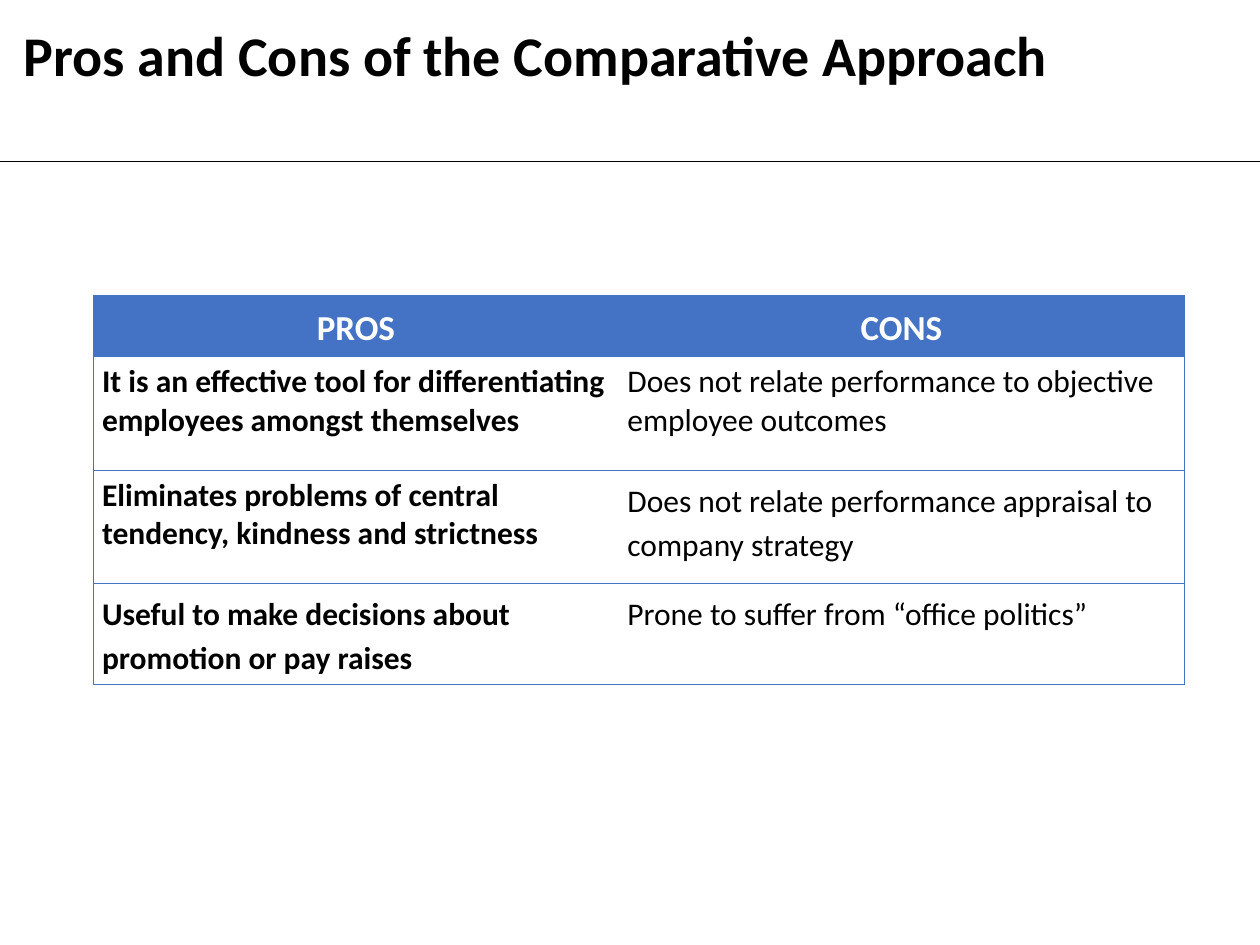
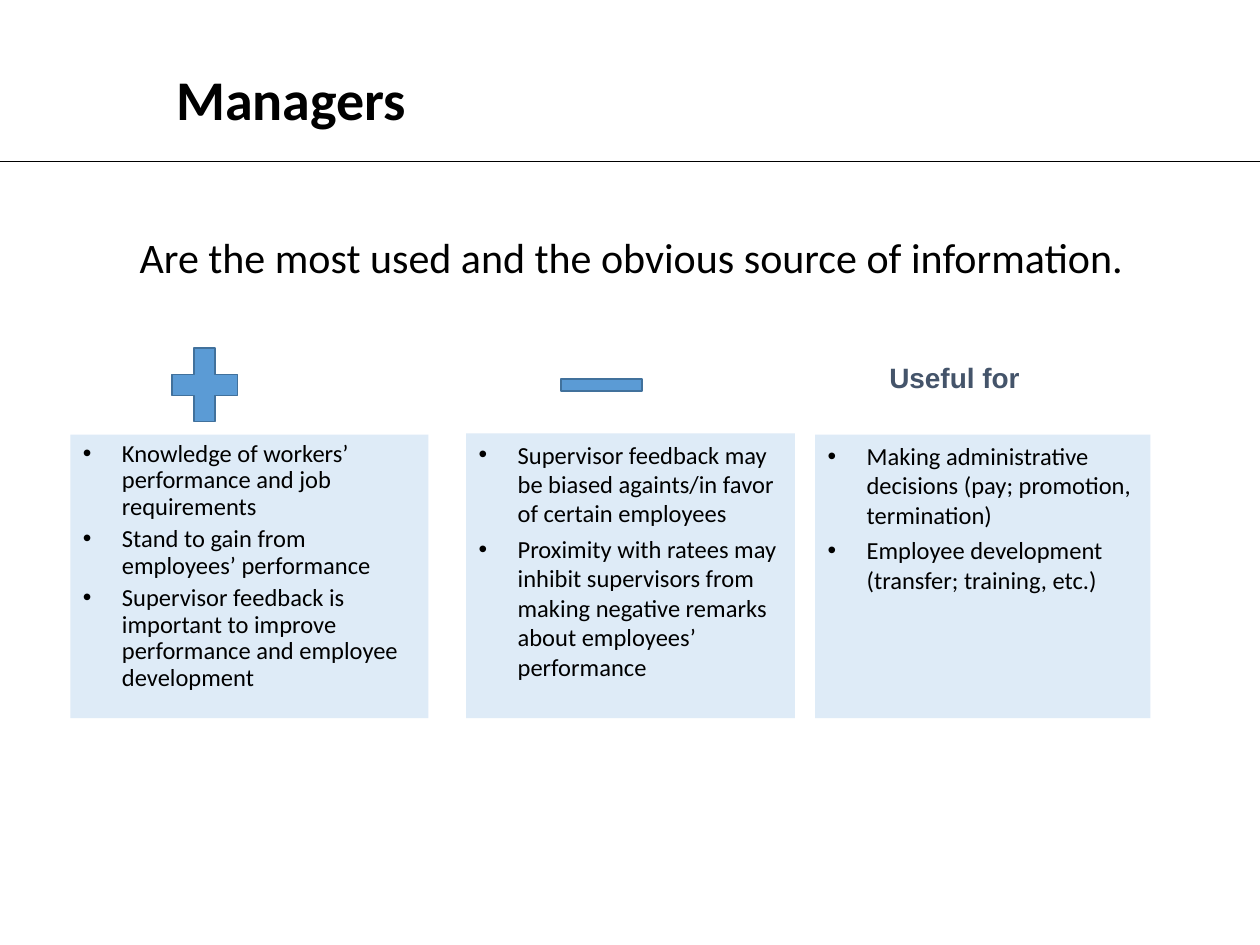
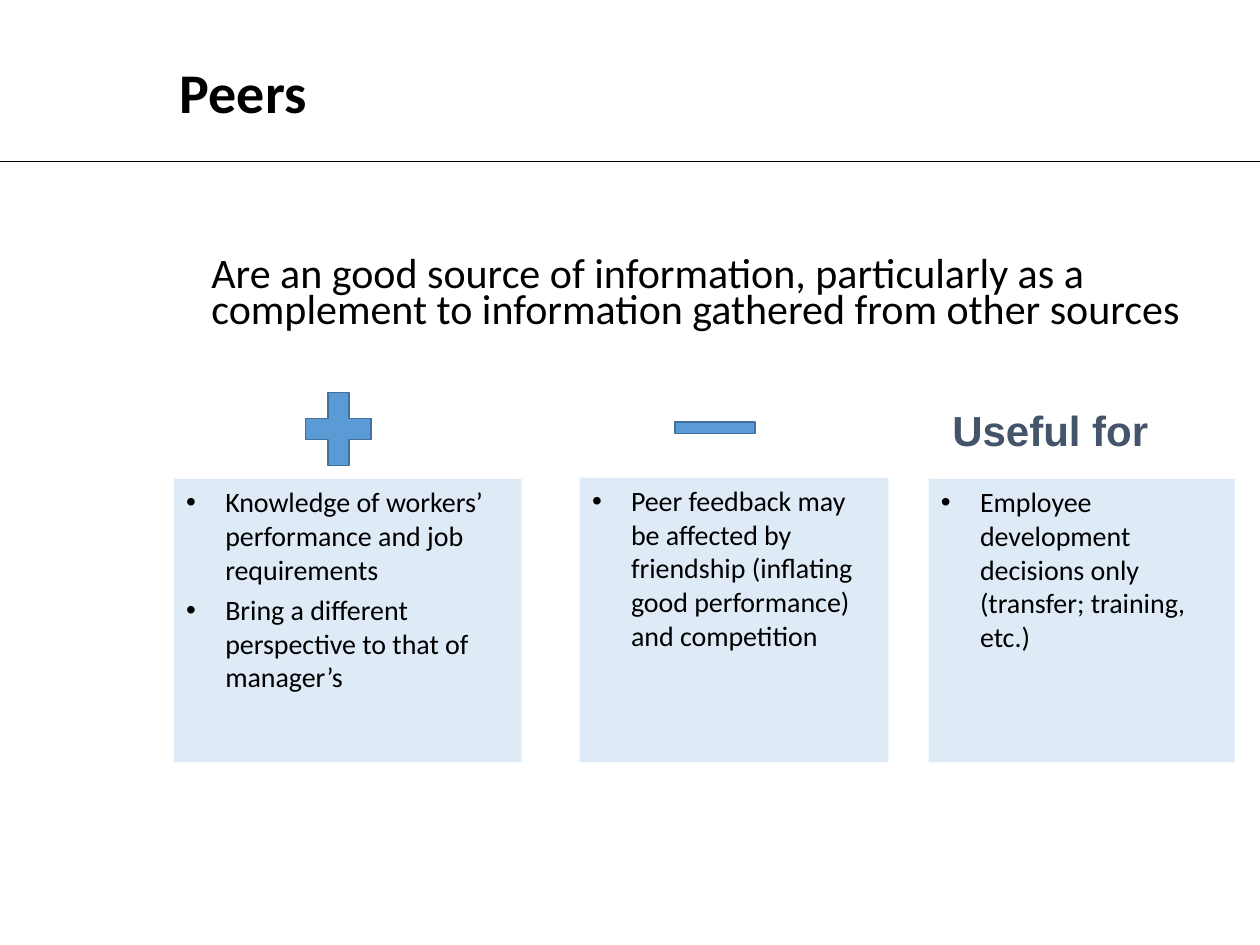
from dataclasses import dataclass

import pptx
import pptx.dml.color
import pptx.enum.shapes
import pptx.enum.text
import pptx.oxml.ns
import pptx.util
from lxml import etree
from pptx.util import Inches

COLORS = {
    "text": "000000",
    "header": "4472C4",
    "header_text": "FFFFFF",
    "sign": "5B9BD5",
    "sign_edge": "41719C",
    "panel": "DEEBF7",
    "label": "44546A",
}
BODY_FONT = "Calibri"
LABEL_FONT = "Arial"
SIGN_SHAPES = pptx.enum.shapes.MSO_SHAPE


@dataclass
class TextStyle:
    size: float
    bold: bool = False
    color: str = "text"
    font: str = BODY_FONT
    line_spacing: float = 1.0


@dataclass
class Frame:
    left: float
    top: float
    width: float
    height: float

    def lengths(self) -> list:
        return [Inches(v) for v in (self.left, self.top, self.width, self.height)]


@dataclass
class Panel:
    frame: Frame
    points: list[str]
    line_spacing: float = 1.0


@dataclass
class Rater:
    name: str
    title_frame: Frame
    intro: str
    intro_frame: Frame
    intro_spacing: float
    plus_frame: Frame
    minus_frame: Frame
    panels: list[Panel]
    point_size: int
    point_gap: float
    label_frame: Frame
    label_size: int


@dataclass
class Argument:
    text: str
    line_spacing: float = 1.0


TITLE = TextStyle(32, bold=True, line_spacing=0.9)

COMPARISON = [
    (Argument("PROS", 1.15), Argument("CONS", 1.15)),
    (Argument("It is an effective tool for differentiating employees amongst themselves"),
     Argument("Does not relate performance to objective employee outcomes")),
    (Argument("Eliminates problems of central tendency, kindness and strictness"),
     Argument("Does not relate performance appraisal to company strategy", 1.15)),
    (Argument("Useful to make decisions about promotion or pay raises", 1.15),
     Argument("Prone to suffer from “office politics”", 1.15)),
]
COLUMN_WIDTHS = [4.17, 4.49]
ROW_HEIGHTS = [0.49, 0.9, 0.9, 0.8]

RATERS = [
    Rater(
        name="Managers",
        title_frame=Frame(1.3, 0.52, 8.7, 0.87),
        intro="Are the most used and the obvious source of information.",
        intro_frame=Frame(1.01, 1.79, 8.42, 0.6),
        intro_spacing=1.0,
        plus_frame=Frame(1.27, 2.66, 0.71, 0.79),
        minus_frame=Frame(4.34, 2.86, 0.87, 0.39),
        panels=[
            Panel(Frame(0.56, 3.45, 2.84, 2.25), [
                "Knowledge of workers’ performance and job requirements",
                "Stand to gain from employees’ performance",
                "Supervisor feedback is important to improve performance and employee development",
            ], 0.9),
            Panel(Frame(3.7, 3.44, 2.61, 2.26), [
                "Supervisor feedback may be biased againts/in favor of certain employees",
                "Proximity with ratees may inhibit supervisors from making negative remarks "
                "about employees’ performance",
            ]),
            Panel(Frame(6.47, 3.45, 2.66, 2.25), [
                "Making administrative decisions (pay; promotion, termination)",
                "Employee development (transfer; training, etc.)",
            ]),
        ],
        point_size=14,
        point_gap=3.5,
        label_frame=Frame(6.96, 2.81, 1.4, 0.37),
        label_size=16,
    ),
    Rater(
        name="Peers",
        title_frame=Frame(1.33, 0.47, 8.67, 0.87),
        intro="Are an good source of information, particularly as a complement to "
              "information gathered from other sources",
        intro_frame=Frame(1.58, 2.02, 8.4, 0.8),
        intro_spacing=0.7,
        plus_frame=Frame(2.33, 3.01, 0.71, 0.79),
        minus_frame=Frame(5.24, 3.2, 0.87, 0.39),
        panels=[
            Panel(Frame(1.38, 3.8, 2.76, 2.25), [
                "Knowledge of workers’ performance and job requirements",
                "Bring a different perspective to that of manager’s",
            ]),
            Panel(Frame(4.6, 3.79, 2.45, 2.26), [
                "Peer feedback may be affected by friendship (inflating good performance) "
                "and competition",
            ]),
            Panel(Frame(7.37, 3.8, 2.43, 2.25), [
                "Employee development decisions only (transfer; training, etc.)",
            ]),
        ],
        point_size=16,
        point_gap=4,
        label_frame=Frame(7.46, 3.16, 2, 0.5),
        label_size=24,
    ),
]


def rgb(name: str) -> pptx.dml.color.RGBColor:
    return pptx.dml.color.RGBColor.from_string(COLORS[name])


def add_node(parent, tag: str, **attributes: str):
    node = etree.SubElement(parent, pptx.oxml.ns.qn(tag))
    for key, value in attributes.items():
        node.set(key, value)
    return node


def style_paragraph(paragraph, style: TextStyle, align=pptx.enum.text.PP_ALIGN.LEFT) -> None:
    paragraph.alignment = align
    paragraph.line_spacing = style.line_spacing
    paragraph.font.name = style.font
    paragraph.font.size = pptx.util.Pt(style.size)
    paragraph.font.bold = style.bold
    paragraph.font.color.rgb = rgb(style.color)


def prepare_frame(text_frame) -> None:
    text_frame.word_wrap = True
    text_frame.vertical_anchor = pptx.enum.text.MSO_ANCHOR.TOP
    text_frame.margin_left = text_frame.margin_right = Inches(0.1)
    text_frame.margin_top = text_frame.margin_bottom = Inches(0.05)


def add_text(slide, frame: Frame, text: str, style: TextStyle) -> None:
    text_frame = slide.shapes.add_textbox(*frame.lengths()).text_frame
    prepare_frame(text_frame)
    paragraph = text_frame.paragraphs[0]
    paragraph.text = text
    style_paragraph(paragraph, style)


def add_filled(slide, kind, frame: Frame, fill: str, edge: str | None = None):
    shape = slide.shapes.add_shape(kind, *frame.lengths())
    shape.shadow.inherit = False
    shape.fill.solid()
    shape.fill.fore_color.rgb = rgb(fill)
    if edge:
        shape.line.color.rgb = rgb(edge)
        shape.line.width = pptx.util.Pt(1)
    else:
        shape.line.fill.background()
    return shape


def add_bullet(paragraph) -> None:
    properties = paragraph._p.get_or_add_pPr()
    indent = Inches(0.31)
    properties.set("marL", str(indent))
    properties.set("indent", str(-indent))
    bullet_color = add_node(properties, "a:buClr")
    add_node(bullet_color, "a:srgbClr", val=COLORS["text"])
    add_node(properties, "a:buFont", typeface=LABEL_FONT)
    add_node(properties, "a:buChar", char="•")


def add_panel(slide, panel: Panel, size: float, gap: float) -> None:
    shape = add_filled(slide, SIGN_SHAPES.RECTANGLE, panel.frame, "panel")
    text_frame = shape.text_frame
    prepare_frame(text_frame)
    style = TextStyle(size, line_spacing=panel.line_spacing)
    for index, point in enumerate(panel.points):
        paragraph = text_frame.add_paragraph() if index else text_frame.paragraphs[0]
        paragraph.text = point
        add_bullet(paragraph)
        if index:
            paragraph.space_before = pptx.util.Pt(gap)
        style_paragraph(paragraph, style)


def set_borders(cell, hidden_side: str) -> None:
    properties = cell._tc.get_or_add_tcPr()
    for side in ("L", "R", "T", "B"):
        border = add_node(properties, f"a:ln{side}", w=str(pptx.util.Pt(0.23)))
        if side == hidden_side:
            add_node(border, "a:noFill")
        else:
            fill = add_node(border, "a:solidFill")
            add_node(fill, "a:srgbClr", val=COLORS["header"])


def add_comparison(slide) -> None:
    frame = Frame(0.74, 2.34, sum(COLUMN_WIDTHS), sum(ROW_HEIGHTS))
    table = slide.shapes.add_table(
        len(ROW_HEIGHTS), len(COLUMN_WIDTHS), *frame.lengths()).table
    table.first_row = table.horz_banding = False
    for column, width in zip(table.columns, COLUMN_WIDTHS):
        column.width = Inches(width)
    for row, height in zip(table.rows, ROW_HEIGHTS):
        row.height = Inches(height)
    for r, arguments in enumerate(COMPARISON):
        for c, argument in enumerate(arguments):
            cell = table.cell(r, c)
            cell.margin_left = cell.margin_right = Inches(0.07)
            cell.margin_top = cell.margin_bottom = Inches(0.05)
            set_borders(cell, "L" if c else "R")
            if r == 0:
                cell.fill.solid()
                cell.fill.fore_color.rgb = rgb("header")
                style = TextStyle(20, True, "header_text", line_spacing=argument.line_spacing)
                align = pptx.enum.text.PP_ALIGN.CENTER
            else:
                cell.fill.background()
                style = TextStyle(18, c == 0, line_spacing=argument.line_spacing)
                align = pptx.enum.text.PP_ALIGN.LEFT
            paragraph = cell.text_frame.paragraphs[0]
            paragraph.text = argument.text
            style_paragraph(paragraph, style, align)


def add_titled_slide(deck, title: str, title_frame: Frame):
    slide = deck.slides.add_slide(deck.slide_layouts[6])
    rule = slide.shapes.add_connector(
        pptx.enum.shapes.MSO_CONNECTOR.STRAIGHT,
        Inches(0), Inches(1.28), deck.slide_width, Inches(1.28))
    rule.line.color.rgb = rgb("text")
    rule.line.width = pptx.util.Pt(0.5)
    add_node(rule._element.spPr, "a:effectLst")
    add_text(slide, title_frame, title, TITLE)
    return slide


def add_rater_slide(deck, rater: Rater) -> None:
    slide = add_titled_slide(deck, rater.name, rater.title_frame)
    add_text(slide, rater.intro_frame, rater.intro,
             TextStyle(24, line_spacing=rater.intro_spacing))
    add_filled(slide, SIGN_SHAPES.MATH_PLUS, rater.plus_frame, "sign", "sign_edge")
    add_filled(slide, SIGN_SHAPES.MATH_MINUS, rater.minus_frame, "sign", "sign_edge")
    for panel in rater.panels:
        add_panel(slide, panel, rater.point_size, rater.point_gap)
    add_text(slide, rater.label_frame, "Useful for",
             TextStyle(rater.label_size, True, "label", LABEL_FONT))


def main() -> None:
    deck = pptx.Presentation()
    deck.slide_width = Inches(10)
    deck.slide_height = Inches(7.5)
    comparison = add_titled_slide(
        deck, "Pros and Cons of the Comparative Approach", Frame(0.09, 0.17, 9.61, 1.02))
    add_comparison(comparison)
    for rater in RATERS:
        add_rater_slide(deck, rater)
    deck.save("out.pptx")


if __name__ == "__main__":
    main()
